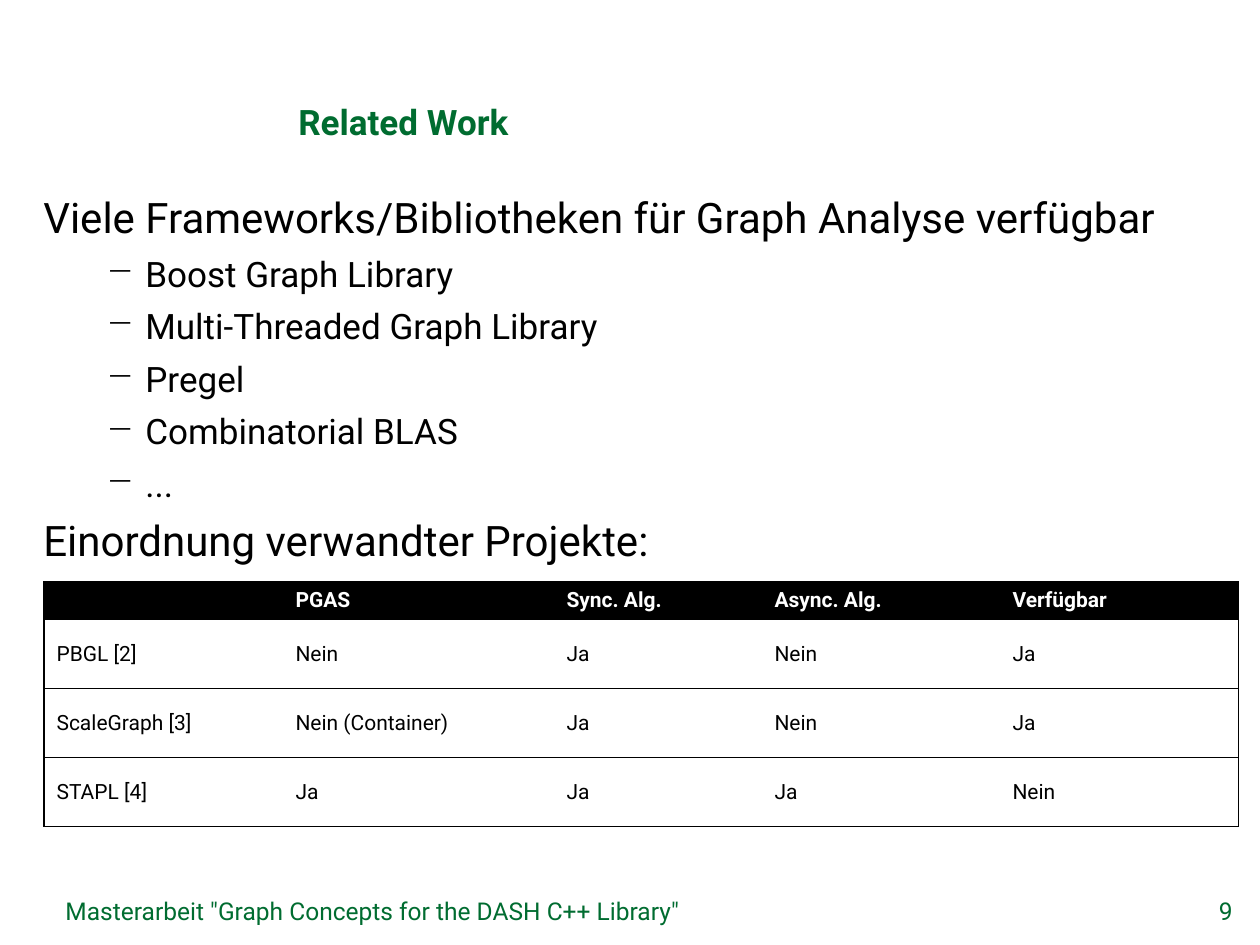
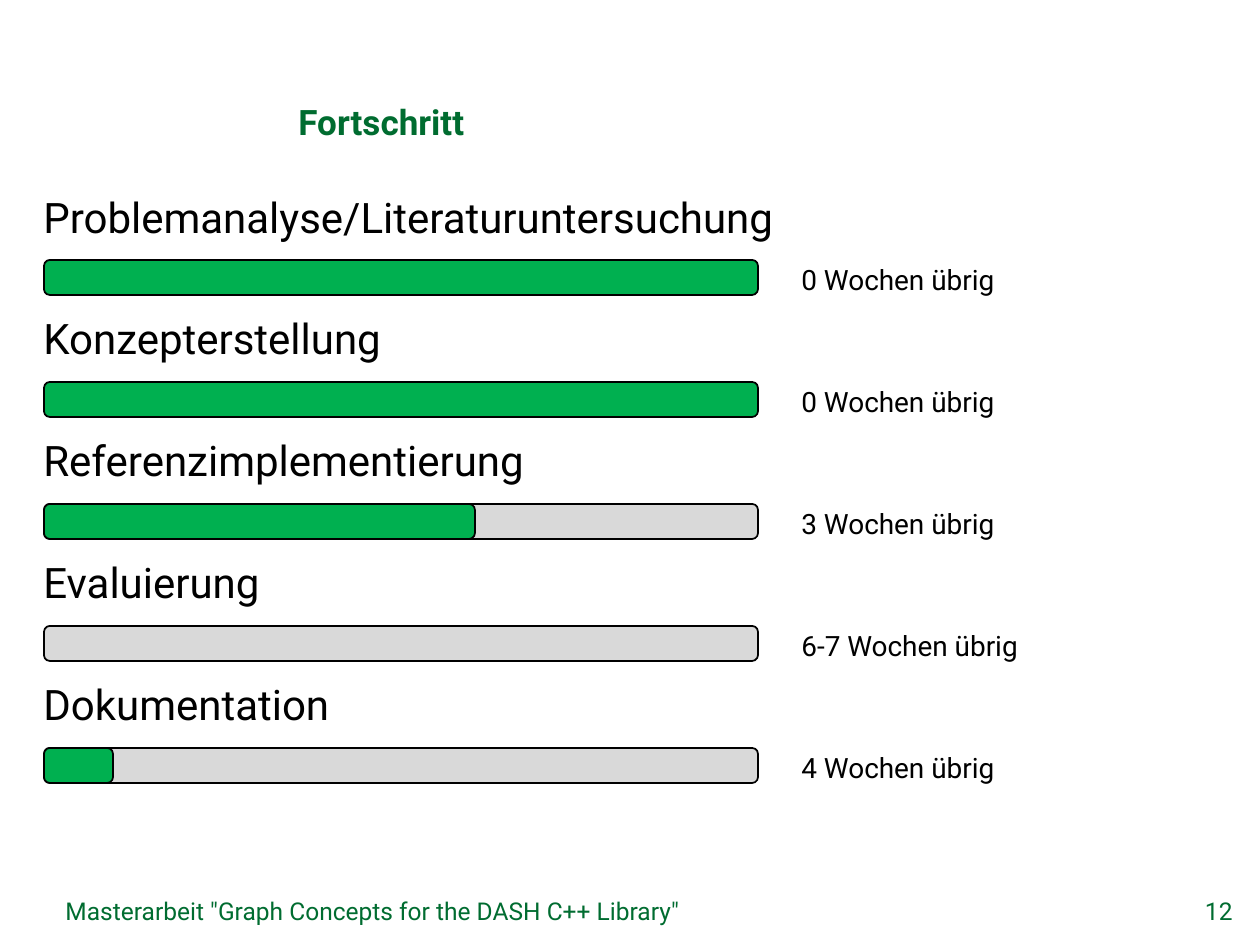
import lxml.etree
import pptx
import pptx.dml.color
import pptx.enum.shapes
import pptx.enum.text
import pptx.oxml.ns
import pptx.util

PX = 914400 / 126
FONT = "Roboto"
BLACK, WHITE = "000000", "FFFFFF"
TITLE_GREEN, BAR_GREEN, BAR_GREY = "006C30", "00B050", "D9D9D9"
FOOTER = 'Masterarbeit "Graph Concepts for the DASH C++ Library"'
BODY_BOX = (31, 185, 1194, 675)
ALIGN = pptx.enum.text.PP_ALIGN
ANCHOR = pptx.enum.text.MSO_ANCHOR

LIBRARIES = ["Boost Graph Library", "Multi-Threaded Graph Library", "Pregel",
             "Combinatorial BLAS", "..."]
PROJECTS = [
    ["", "PGAS", "Sync. Alg.", "Async. Alg.", "Verfügbar"],
    ["PBGL [2]", "Nein", "Ja", "Nein", "Ja"],
    ["ScaleGraph [3]", "Nein (Container)", "Ja", "Nein", "Ja"],
    ["STAPL [4]", "Ja", "Ja", "Ja", "Nein"],
]
COLUMN_WIDTHS = [239, 271, 208, 238, 239]
HEADER_HEIGHT, ROW_HEIGHT = 37, 69
BAR_WIDTH, BAR_HEIGHT, BAR_PITCH = 714, 35, 122
TASKS = [
    ("Problemanalyse/Literaturuntersuchung", 714, "0 Wochen übrig"),
    ("Konzepterstellung", 714, "0 Wochen übrig"),
    ("Referenzimplementierung", 431, "3 Wochen übrig"),
    ("Evaluierung", 0, "6-7 Wochen übrig"),
    ("Dokumentation", 69, "4 Wochen übrig"),
]


def px(n):
    """Turn pixels into EMU."""
    return pptx.util.Emu(round(n * PX))


def rgb(color):
    """Turn a hex string into a colour."""
    return pptx.dml.color.RGBColor.from_string(color)


def sub(parent, tag, **attrs):
    """Append a DrawingML element."""
    return lxml.etree.SubElement(parent, pptx.oxml.ns.qn(tag), **attrs)


def add_run(p, text, size, color=BLACK, bold=False):
    """Add one formatted run to a paragraph."""
    r = p.add_run()
    r.text = text
    r.font.name, r.font.size, r.font.bold = FONT, pptx.util.Pt(size), bold
    r.font.color.rgb = rgb(color)


def add_frame(s, box, wrap=True):
    """Add an empty text box and return its frame."""
    tf = s.shapes.add_textbox(*map(px, box)).text_frame
    tf.word_wrap = wrap
    return tf


def add_line(s, box, text, size, color=BLACK, bold=False, wrap=True,
             align=ALIGN.LEFT, anchor=ANCHOR.TOP):
    """Add a text box with a single line."""
    tf = add_frame(s, box, wrap)
    tf.vertical_anchor = anchor
    p = tf.paragraphs[0]
    p.alignment = align
    add_run(p, text, size, color, bold)


def add_body(s, box, items, gap=6):
    """Add body paragraphs from pairs of text and level."""
    tf = add_frame(s, box)
    for i, (text, level) in enumerate(items):
        p = tf.add_paragraph() if i else tf.paragraphs[0]
        p.space_after = pptx.util.Pt(gap)
        add_run(p, text, 20 if level else 24)
        if level:
            pPr = p._p.get_or_add_pPr()
            pPr.set("marL", str(px(102)))
            pPr.set("indent", str(px(-39)))
            sub(pPr, "a:buChar", char="−")


def add_base(prs, title, number):
    """Add a slide with title, footer and page number."""
    s = prs.slides.add_slide(prs.slide_layouts[6])
    add_line(s, (286, 86, 543, 63), title, 20, TITLE_GREEN, bold=True,
             anchor=ANCHOR.BOTTOM)
    add_line(s, (1137, 890, 108, 40), str(number), 14, TITLE_GREEN,
             align=ALIGN.RIGHT)
    add_line(s, (53, 890, 1066, 40), FOOTER, 14, TITLE_GREEN)
    return s


def set_borders(cell, sides):
    """Draw thin black lines on the named sides and none elsewhere."""
    tcPr = cell._tc.get_or_add_tcPr()
    for side in "LRTB":
        ln = sub(tcPr, f"a:ln{side}", w=str(pptx.util.Pt(0.75)))
        if side in sides:
            sub(sub(ln, "a:solidFill"), "a:srgbClr", val=BLACK)
        else:
            sub(ln, "a:noFill")


def add_projects(s, x, y):
    """Add the comparison table with its top left corner at x, y."""
    heights = [HEADER_HEIGHT] + [ROW_HEIGHT] * (len(PROJECTS) - 1)
    table = s.shapes.add_table(len(heights), len(COLUMN_WIDTHS), px(x), px(y),
                               px(sum(COLUMN_WIDTHS)), px(sum(heights))).table
    table.first_row = table.horz_banding = False
    for column, width in zip(table.columns, COLUMN_WIDTHS):
        column.width = px(width)
    for i, (row, height) in enumerate(zip(table.rows, heights)):
        row.height = px(height)
        header = i == 0
        for j, (cell, text) in enumerate(zip(row.cells, PROJECTS[i])):
            edges = {0: "L", len(COLUMN_WIDTHS) - 1: "R"}
            set_borders(cell, "TB" + edges.get(j, ""))
            cell.fill.solid()
            cell.fill.fore_color.rgb = rgb(BLACK if header else WHITE)
            cell.vertical_anchor = ANCHOR.TOP if header else ANCHOR.MIDDLE
            p = cell.text_frame.paragraphs[0]
            if text:
                add_run(p, text, 12, WHITE if header else BLACK, header)
            else:
                sub(p._p, "a:endParaRPr", sz="1200")


def add_bar(s, x, y, width, color):
    """Add one outlined rounded bar."""
    kind = pptx.enum.shapes.MSO_SHAPE.ROUNDED_RECTANGLE
    bar = s.shapes.add_shape(kind, px(x), px(y), px(width), px(BAR_HEIGHT))
    bar.shadow.inherit = False
    bar.fill.solid()
    bar.fill.fore_color.rgb = rgb(color)
    bar.line.color.rgb = rgb(BLACK)
    bar.line.width = pptx.util.Pt(1)


def add_progress(s, x, y):
    """Add the progress bars and remaining weeks from x, y downwards."""
    for i, (_, done, weeks) in enumerate(TASKS):
        top = y + i * BAR_PITCH
        if done < BAR_WIDTH:
            add_bar(s, x, top, BAR_WIDTH, BAR_GREY)
        if done:
            add_bar(s, x, top, done, BAR_GREEN)
        add_line(s, (x + 745, top - 4, 248, 47), weeks, 16, wrap=False)


def related_work(prs):
    """Build the slide on related work."""
    s = add_base(prs, "Related Work", 9)
    items = [("Viele Frameworks/Bibliotheken für Graph Analyse verfügbar", 0)]
    items += [(name, 1) for name in LIBRARIES]
    items += [("Einordnung verwandter Projekte:", 0)]
    add_body(s, BODY_BOX, items)
    add_projects(s, 44, 582)


def progress(prs):
    """Build the slide on progress."""
    s = add_base(prs, "Fortschritt", 12)
    add_body(s, BODY_BOX, [(task, 0) for task, _, _ in TASKS], gap=40.8)
    add_progress(s, 44, 260)


def main():
    """Build and save the presentation."""
    prs = pptx.Presentation()
    prs.slide_width, prs.slide_height = px(1260), px(945)
    related_work(prs)
    progress(prs)
    prs.save("out.pptx")


if __name__ == "__main__":
    main()
